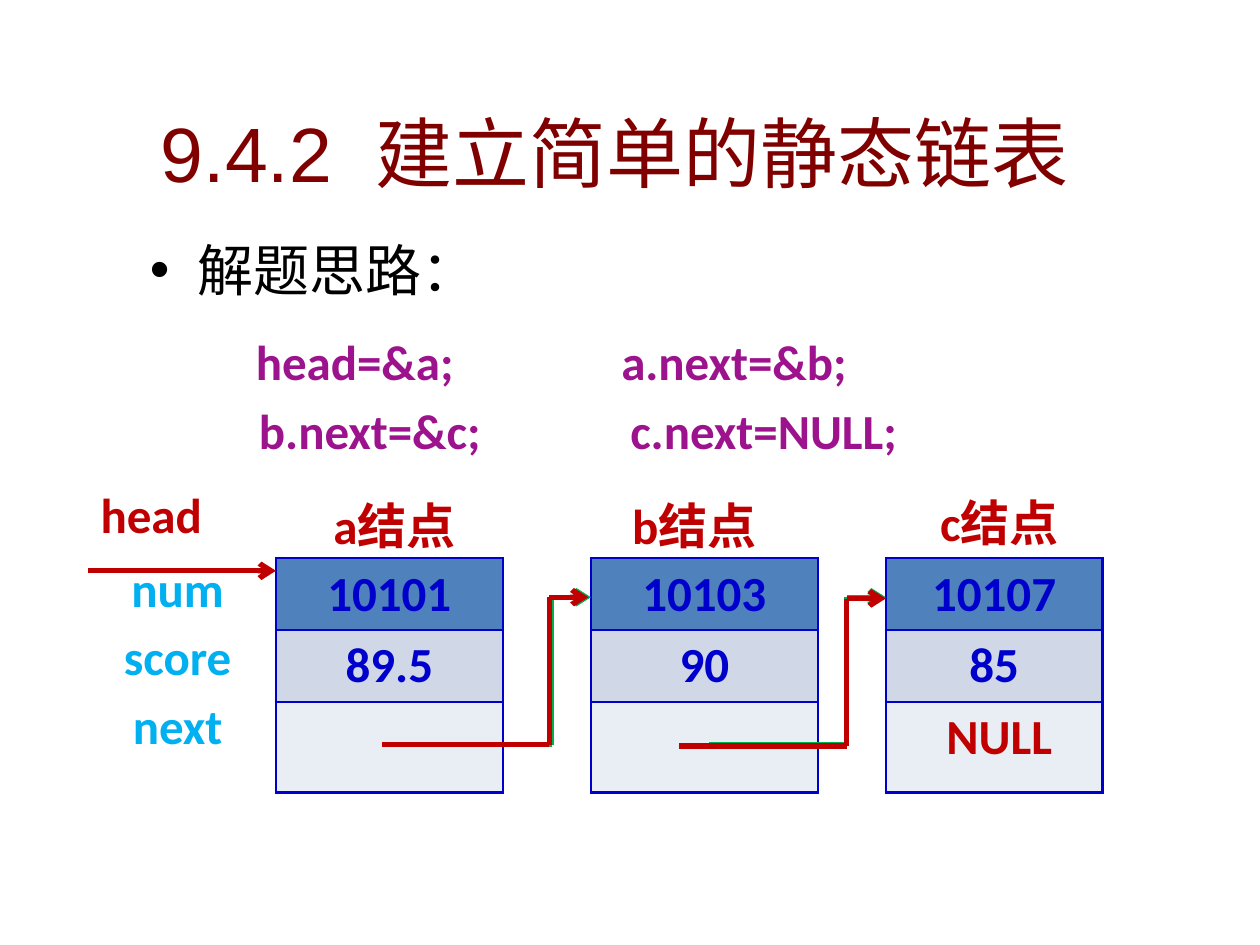
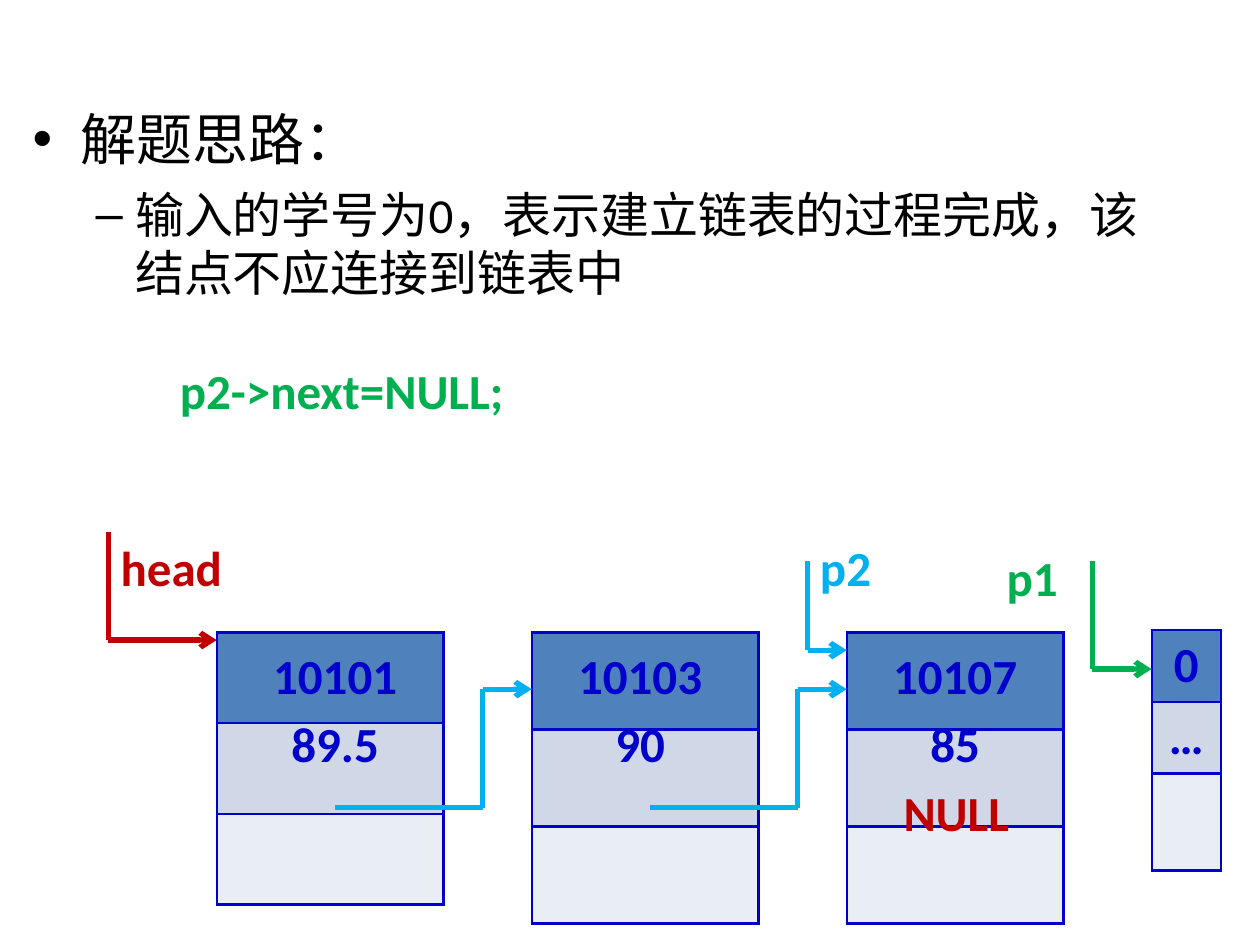
from dataclasses import dataclass
from itertools import pairwise

from lxml import etree
from pptx import Presentation
from pptx.dml.color import RGBColor
from pptx.enum import shapes, text
from pptx.oxml import ns
from pptx.util import Inches, Pt


@dataclass(frozen=True)
class Theme:
    latin: str = "Calibri"
    title_font: str = "Arial"
    title: str = "800000"
    body: str = "000000"
    red: str = "C00000"
    green: str = "00B050"
    sky: str = "00B0F0"
    purple: str = "9D138D"
    data: str = "0000CC"
    fields: tuple = ("4F81BD", "D0D8E8", "E9EDF4")
    title_size: int = 44
    body_size: int = 32
    label_size: int = 28
    arrow_width: float = 3
    border_width: float = 1.47


THEME = Theme()
LABEL_HEIGHT = 0.57
ROW, TALL_ROW, TALLEST_ROW = 0.57, 0.72, 0.77
CENTER = text.PP_ALIGN.CENTER
LEFT = text.PP_ALIGN.LEFT


def rgb(value):
    return RGBColor.from_string(value)


def inches(*lengths):
    return [Inches(length) for length in lengths]


def write(paragraph, words, size, colour, bold=False, font=THEME.latin):
    run = paragraph.add_run()
    run.text = words
    run.font.name = font
    run.font.size = Pt(size)
    run.font.bold = bold
    run.font.color.rgb = rgb(colour)


def place(shape, box):
    shape.left, shape.top, shape.width, shape.height = inches(*box)


def add_title(slide, words, box):
    title = slide.shapes.title
    place(title, box)
    heading = title.text_frame.paragraphs[0]
    heading.alignment = CENTER
    write(heading, words, THEME.title_size, THEME.title, font=THEME.title_font)


def add_points(slide, points, box):
    """Fill the body placeholder with (level, words) points."""
    body = slide.placeholders[1]
    place(body, box)
    frame = body.text_frame
    for index, (level, words) in enumerate(points):
        point = frame.add_paragraph() if index else frame.paragraphs[0]
        point.level = level
        point.space_before = Pt(7 if index else 0)
        size = THEME.label_size if level else THEME.body_size
        write(point, words, size, THEME.body)


def add_label(slide, lines, left, top, width, colour, align=CENTER,
              height=LABEL_HEIGHT, spacing=None):
    label = slide.shapes.add_textbox(*inches(left, top, width, height))
    frame = label.text_frame
    frame.word_wrap = True
    for index, words in enumerate(lines):
        line = frame.add_paragraph() if index else frame.paragraphs[0]
        line.alignment = align
        line.line_spacing = spacing
        write(line, words, THEME.label_size, colour, bold=True)


def add_border(cell):
    properties = cell._tc.get_or_add_tcPr()
    for index, side in enumerate(("a:lnL", "a:lnR", "a:lnT", "a:lnB")):
        line = etree.Element(ns.qn(side), w=str(Pt(THEME.border_width)))
        fill = etree.SubElement(line, ns.qn("a:solidFill"))
        etree.SubElement(fill, ns.qn("a:srgbClr"), val=THEME.data)
        properties.insert(index, line)


def add_node(slide, left, top, width, heights, values=()):
    """Draw a list node: one field a row, top to bottom."""
    frame = slide.shapes.add_table(
        len(heights), 1, *inches(left, top, width, sum(heights)))
    node = frame.table
    node.first_row = node.horz_banding = False
    for index, height in enumerate(heights):
        node.rows[index].height = Inches(height)
        field = node.cell(index, 0)
        field.fill.solid()
        field.fill.fore_color.rgb = rgb(THEME.fields[index])
        add_border(field)
        if index < len(values):
            line = field.text_frame.paragraphs[0]
            line.alignment = CENTER
            write(line, values[index], THEME.label_size, THEME.data, bold=True)


def add_arrow(slide, corners, colour):
    """Join the corners with straight lines; the last one has an arrowhead."""
    for start, end in pairwise(corners):
        segment = slide.shapes.add_connector(
            shapes.MSO_CONNECTOR.STRAIGHT, *inches(*start, *end))
        segment.line.color.rgb = rgb(colour)
        segment.line.width = Pt(THEME.arrow_width)
        etree.SubElement(segment._element.spPr, ns.qn("a:effectLst"))
    etree.SubElement(segment.line._get_or_add_ln(), ns.qn("a:tailEnd"),
                     type="arrow")


def add_next_link(slide, start, turn_x, end, colour):
    """Lead from a node's next field, up and on to the following node."""
    add_arrow(slide, [start, (turn_x, start[1]), (turn_x, end[1]), end], colour)


def draw_assignments(slide, left, top):
    for code, dx, dy, width in (
            ("head=&a;", 0, 0, 3.05), ("a.next=&b;", 3.01, 0, 3.05),
            ("b.next=&c;", 0.12, 0.55, 3.05), ("c.next=NULL;", 3.01, 0.55, 3.52)):
        add_label(slide, [code], left + dx, top + dy, width, THEME.purple)


def draw_static_list(slide, left, top):
    """Draw nodes a, b and c; left and top are the corner of node a."""
    heights = (ROW, ROW, TALL_ROW)
    for dx, width, number, score in (
            (0, 1.8, "10101", "89.5"), (2.5, 1.8, "10103", "90"),
            (4.84, 1.72, "10107", "85")):
        add_node(slide, left + dx, top, width, heights, (number, score))
    for caption, dx, dy, width in (
            ("a结点", 0.08, -0.55, 1.72), ("b结点", 2.5, -0.55, 1.64),
            ("c结点", 5, -0.57, 1.48), ("NULL", 5, 1.12, 1.48)):
        add_label(slide, [caption], left + dx, top + dy, width, THEME.red)

    for start_x, low, turn_x, end_x, high, colour in (
            (0.86, 1.48, 2.19, 2.5, 0.31, THEME.green),
            (3.44, 1.48, 4.53, 4.84, 0.31, THEME.green),
            (0.84, 1.48, 2.17, 2.48, 0.31, THEME.red),
            (3.2, 1.49, 4.53, 4.84, 0.32, THEME.red)):
        add_next_link(slide, (left + start_x, top + low), left + turn_x,
                      (left + end_x, top + high), colour)

    for index, field in enumerate(("num", "score", "next")):
        add_label(slide, [field], left - 1.56, top - 0.05 + 0.545 * index,
                  1.56, THEME.sky)
    add_label(slide, ["head"], left - 1.49, top - 0.63, 1.33, THEME.red, LEFT)
    add_arrow(slide, [(left - 1.49, top + 0.1), (left, top + 0.1)], THEME.red)


def draw_finished_list(slide, left, top):
    """Draw the linked nodes and the unlinked one that ends the input."""
    pitch = 2.5
    for index, (width, height, inset, values) in enumerate((
            (1.8, TALL_ROW, 0.08, ("10101", "89.5")),
            (1.8, TALLEST_ROW, 0, ("10103", "90")),
            (1.72, TALLEST_ROW, 0, ("10107", "85")))):
        node_left = left + pitch * index
        add_node(slide, node_left, top, width, [height] * 3)
        add_label(slide, values, node_left + inset, top - 0.02, 1.72,
                  THEME.data, height=1.19, spacing=Pt(39))
    add_node(slide, left + 7.42, top - 0.02, 0.55, (ROW, ROW, TALLEST_ROW),
             ("0", "…"))

    for node_left in (left, left + pitch):
        add_next_link(slide, (node_left + 0.94, top + 1.39), node_left + 2.11,
                      (node_left + pitch, top + 0.45), THEME.sky)

    for pointer, label_x, label_y, width, x, start_y, end_x, end_y, colour in (
            ("head", -0.86, -0.8, 1.33, -0.86, -0.8, 0, 0.06, THEME.red),
            ("p2", 4.69, -0.8, 0.86, 4.69, -0.57, 5, 0.14, THEME.sky),
            ("p1", 6.17, -0.72, 0.86, 6.95, -0.57, 7.42, 0.29, THEME.green)):
        add_label(slide, [pointer], left + label_x, top + label_y, width,
                  colour, LEFT)
        add_arrow(slide, [(left + x, top + start_y), (left + x, top + end_y),
                          (left + end_x, top + end_y)], colour)
    add_label(slide, ["NULL"], left + 5.05, top + 1.14, 1.64, THEME.red)


def build_static_list_slide(deck):
    slide = deck.slides.add_slide(deck.slide_layouts[1])
    add_title(slide, "9.4.2  建立简单的静态链表", (0.31, 0.78, 9.14, 0.84))
    add_points(slide, [(0, "解题思路：")], (1.09, 1.82, 8.05, 1.23))
    draw_assignments(slide, 1.29, 2.58)
    draw_static_list(slide, 2.19, 4.43)


def build_finished_list_slide(deck):
    slide = deck.slides.add_slide(deck.slide_layouts[1])
    unused_title = slide.shapes.title._element
    unused_title.getparent().remove(unused_title)
    add_points(slide, [
        (0, "解题思路："),
        (1, "输入的学号为0，表示建立链表的过程完成，该结点不应连接到链表中"),
    ], (0.16, 0.78, 9.14, 2.11))
    draw_finished_list(slide, 1.72, 5.02)
    add_label(slide, ["p2->next=NULL;"], 1.33, 2.81, 4.3, THEME.green, LEFT)


def main():
    deck = Presentation()
    deck.slide_width, deck.slide_height = inches(10, 7.5)
    build_static_list_slide(deck)
    build_finished_list_slide(deck)
    deck.save("out.pptx")


if __name__ == "__main__":
    main()
